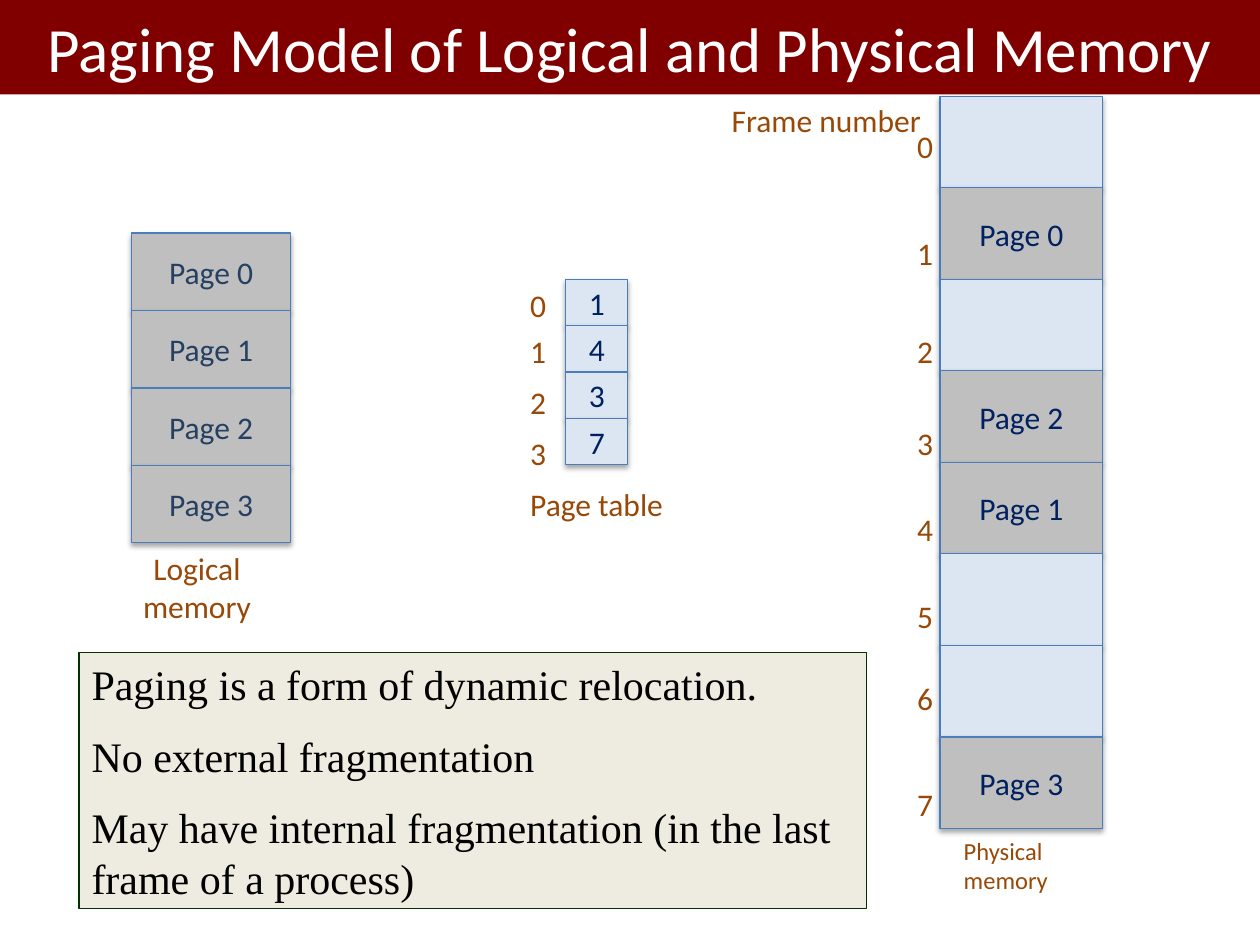
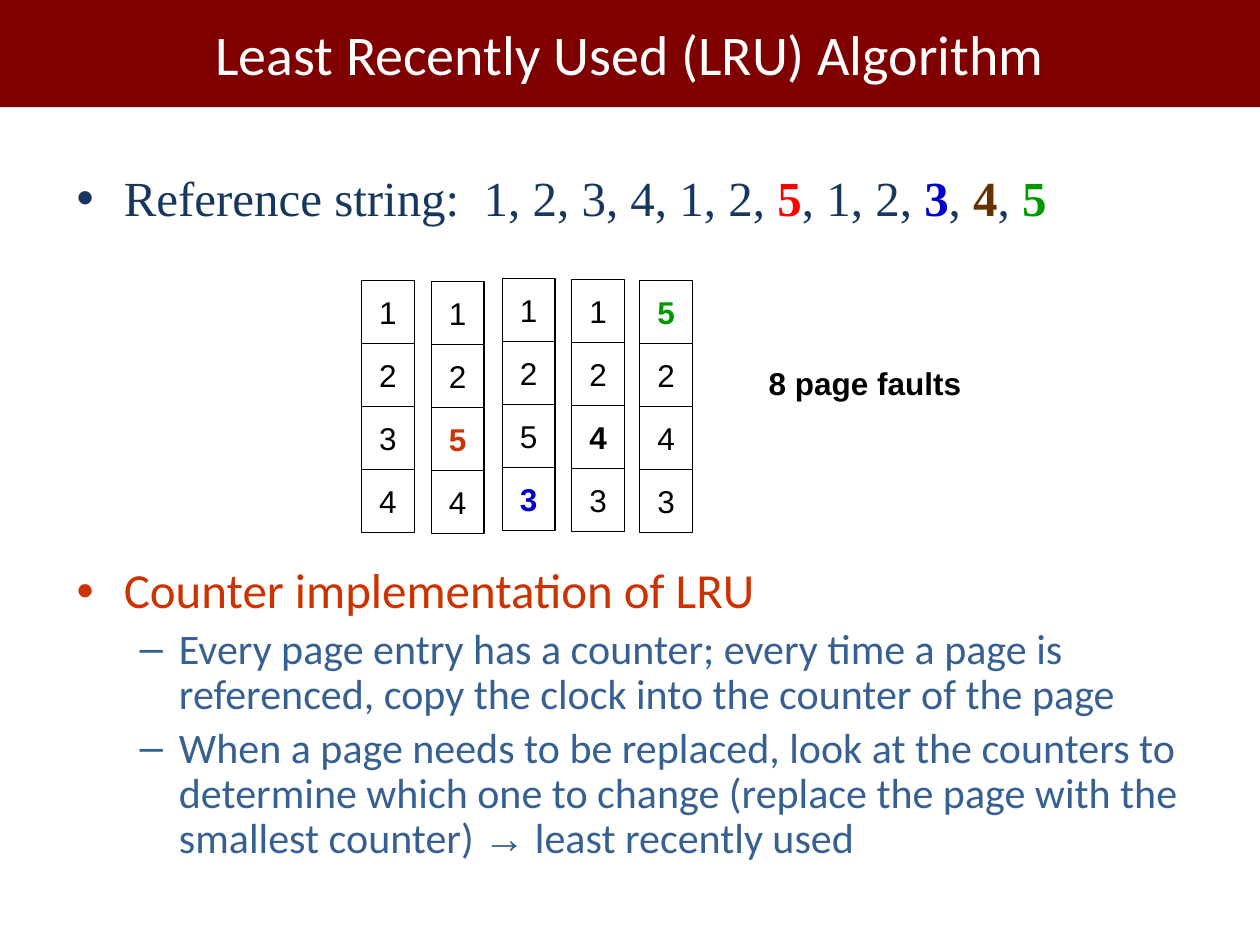
import pptx
import pptx.util
import pptx.dml.color
import pptx.enum.shapes
import pptx.enum.text
import pptx.oxml
import pptx.oxml.ns

Pt = pptx.util.Pt
RGBColor = pptx.dml.color.RGBColor
ALIGN = pptx.enum.text.PP_ALIGN
ANCHOR = pptx.enum.text.MSO_ANCHOR

MAROON = RGBColor(0x80, 0x00, 0x00)
WHITE = RGBColor(0xFF, 0xFF, 0xFF)
BLACK = RGBColor(0x00, 0x00, 0x00)
CREAM = RGBColor(0xEE, 0xEC, 0xE1)
DARK_GREEN = RGBColor(0x00, 0x33, 0x00)
GRAY = RGBColor(0xBF, 0xBF, 0xBF)
PALE_BLUE = RGBColor(0xDC, 0xE6, 0xF2)
EDGE_BLUE = RGBColor(0x4A, 0x7E, 0xBB)
SLATE = RGBColor(0x25, 0x40, 0x61)
NAVY = RGBColor(0x00, 0x20, 0x60)
BROWN = RGBColor(0x98, 0x48, 0x07)
DEEP_BLUE = RGBColor(0x17, 0x37, 0x5E)
MID_BLUE = RGBColor(0x37, 0x60, 0x92)
RUST = RGBColor(0xCC, 0x33, 0x00)
RED = RGBColor(0xFF, 0x00, 0x00)
BLUE = RGBColor(0x00, 0x00, 0xCC)
UMBER = RGBColor(0x66, 0x33, 0x00)
GREEN = RGBColor(0x00, 0x99, 0x00)

SANS, SERIF, ARIAL = "Calibri", "Times New Roman", "Arial"
SHADOW = (
    '<a:effectLst %s><a:outerShdw blurRad="%d" dist="%d" dir="5400000" rotWithShape="0">'
    '<a:srgbClr val="000000"><a:alpha val="35000"/></a:srgbClr></a:outerShdw></a:effectLst>'
    % (pptx.oxml.ns.nsdecls("a"), Pt(3.1), Pt(1.8))
)


class Deck:
    """Hold the presentation, its style and the current slide."""

    def __init__(self):
        self.prs = pptx.Presentation()
        self.prs.slide_width, self.prs.slide_height = Pt(720), Pt(540)
        self.s = None

    def slide(self, title, height, size):
        self.s = self.prs.slides.add_slide(self.prs.slide_layouts[6])
        band = self.rect(0, 0, 720, height, MAROON)
        self.para(band.text_frame, title, size, WHITE, align=ALIGN.CENTER)

    def rect(self, x, y, w, h, fill, line=None, shadow=False):
        sp = self.s.shapes.add_shape(
            pptx.enum.shapes.MSO_SHAPE.RECTANGLE, Pt(x), Pt(y), Pt(w), Pt(h))
        sp.shadow.inherit = False
        sp.fill.solid()
        sp.fill.fore_color.rgb = fill
        if line is None:
            sp.line.fill.background()
        else:
            sp.line.color.rgb = line
            sp.line.width = Pt(0.75)
        if shadow:
            effects = sp._element.spPr.find(pptx.oxml.ns.qn("a:effectLst"))
            effects.getparent().replace(effects, pptx.oxml.parse_xml(SHADOW))
        return sp

    def text_box(self, x, y, w, h, wrap=True):
        tf = self.s.shapes.add_textbox(Pt(x), Pt(y), Pt(w), Pt(h)).text_frame
        tf.word_wrap = wrap
        return tf

    def para(self, tf, text, size, color, font=SANS, bold=False, align=ALIGN.LEFT, before=0):
        p = tf.paragraphs[0]
        if p.runs:
            p = tf.add_paragraph()
            p.space_before = Pt(before)
        p.alignment = align
        p.font.size, p.font.name, p.font.bold = Pt(size), font, bold
        p.font.color.rgb = color
        p.add_run().text = text
        return p

    def add_run(self, p, text, color=None, bold=None, font=None):
        r = p.add_run()
        r.text = text
        r.font.bold, r.font.name = bold, font
        if color is not None:
            r.font.color.rgb = color

    def bullet(self, tf, text, size, color, char, left, hang, font=SANS, before=0):
        p = self.para(tf, text, size, color, font, before=before)
        p.line_spacing = 0.9
        pPr = p._p.get_or_add_pPr()
        pPr.set("marL", str(Pt(left)))
        pPr.set("indent", str(-Pt(hang)))
        for tag, key, value in (("buFont", "typeface", ARIAL), ("buChar", "char", char)):
            bu = pptx.oxml.parse_xml("<a:%s %s/>" % (tag, pptx.oxml.ns.nsdecls("a")))
            bu.set(key, value)
            pPr.find(pptx.oxml.ns.qn("a:defRPr")).addprevious(bu)
        return p

    def label(self, x, y, w, text, size=18, align=ALIGN.LEFT):
        self.para(self.text_box(x, y, w, 29), text, size, BROWN, align=align)

    def memory(self, x, y, w, h, cells, fill, color):
        for i, text in enumerate(cells):
            sp = self.rect(x, y + i * h, w, h, fill if text else PALE_BLUE, EDGE_BLUE, True)
            if text:
                self.para(sp.text_frame, text, 18, color, align=ALIGN.CENTER)

    def frames(self, x, y, pages, changed, color):
        for i, page in enumerate(pages):
            hit = i == changed
            sp = self.rect(x, y + i * 36, 30.2, 36, WHITE, BLACK)
            sp.text_frame.word_wrap = False
            self.para(sp.text_frame, page, 18, color if hit else BLACK, ARIAL, hit, ALIGN.CENTER)


def paging_model(d):
    d.slide("Paging Model of Logical and Physical Memory", 54, 36)
    notes = d.rect(45.2, 373, 450, 146.2, CREAM, DARK_GREEN).text_frame
    notes.vertical_anchor = ANCHOR.TOP
    for text in ("Paging is a form of dynamic relocation.",
                 "No external fragmentation",
                 "May have internal fragmentation (in the last frame of a process)"):
        d.para(notes, text, 24, BLACK, SERIF, before=12)

    d.memory(75.2, 133.2, 90.8, 44.25, ["Page %d" % i for i in range(4)], GRAY, SLATE)
    d.label(68.6, 310.3, 88, "Logical memory", align=ALIGN.CENTER)

    d.memory(323.3, 159.6, 35.5, 26.5, "1437", PALE_BLUE, NAVY)
    for i, y in enumerate((159.8, 186, 215.3, 244.3)):
        d.label(295.9, y, 27.4, str(i))
    d.label(295.9, 273.6, 109.4, "Page table")

    pages = ("", "Page 0", "", "Page 2", "Page 1", "", "", "Page 3")
    d.memory(537.1, 55, 93, 52.3, pages, GRAY, NAVY)
    d.label(411, 54, 133, "Frame number")
    for i, y in enumerate((69.3, 130.2, 186, 239, 288, 337.5, 384.5, 445)):
        d.label(517, y, 39.6, str(i))
    d.label(543.6, 474, 93, "Physical memory", 14)


def lru(d):
    d.slide("Least Recently Used (LRU) Algorithm", 61.2, 32)
    tf = d.text_box(36.7, 96, 657.4, 412)
    p = d.bullet(tf, "Reference string:  1, 2, 3, 4, 1, 2, ", 28, DEEP_BLUE, "•", 27, 27, SERIF)
    for text, color in (("5", RED), (", 1, 2, ", None), ("3", BLUE), (", ", None),
                        ("4", UMBER), (", ", None), ("5", GREEN)):
        d.add_run(p, text, color, True if color else None)
    d.bullet(tf, "Counter implementation of LRU", 28, RUST, "•", 27, 27, before=194)
    d.bullet(tf, "Every page entry has a counter; every time a page is referenced, "
             "copy the clock into the counter of the page", 24, MID_BLUE, "–", 58.5, 22.5, before=4.8)
    p = d.bullet(tf, "When a page needs to be replaced, look at the counters to determine "
                 "which one to change (replace the page with the smallest counter) ",
                 24, MID_BLUE, "–", 58.5, 22.5, before=4.8)
    d.add_run(p, "→", font=ARIAL)
    d.add_run(p, " least recently used")

    for x, y, pages, changed, color in (
            (206.6, 160.4, "1234", None, BLACK), (246.4, 160.8, "1254", 2, RUST),
            (287, 159.2, "1253", 3, BLUE), (326.7, 159.8, "1243", 2, BLACK),
            (365.6, 160.4, "5243", 0, GREEN)):
        d.frames(x, y, pages, changed, color)
    faults = d.text_box(432, 204.7, 124.6, 29, wrap=False)
    d.para(faults, "8 page faults", 18, BLACK, ARIAL, True, ALIGN.CENTER)


def main():
    d = Deck()
    paging_model(d)
    lru(d)
    d.prs.save("out.pptx")


if __name__ == "__main__":
    main()
